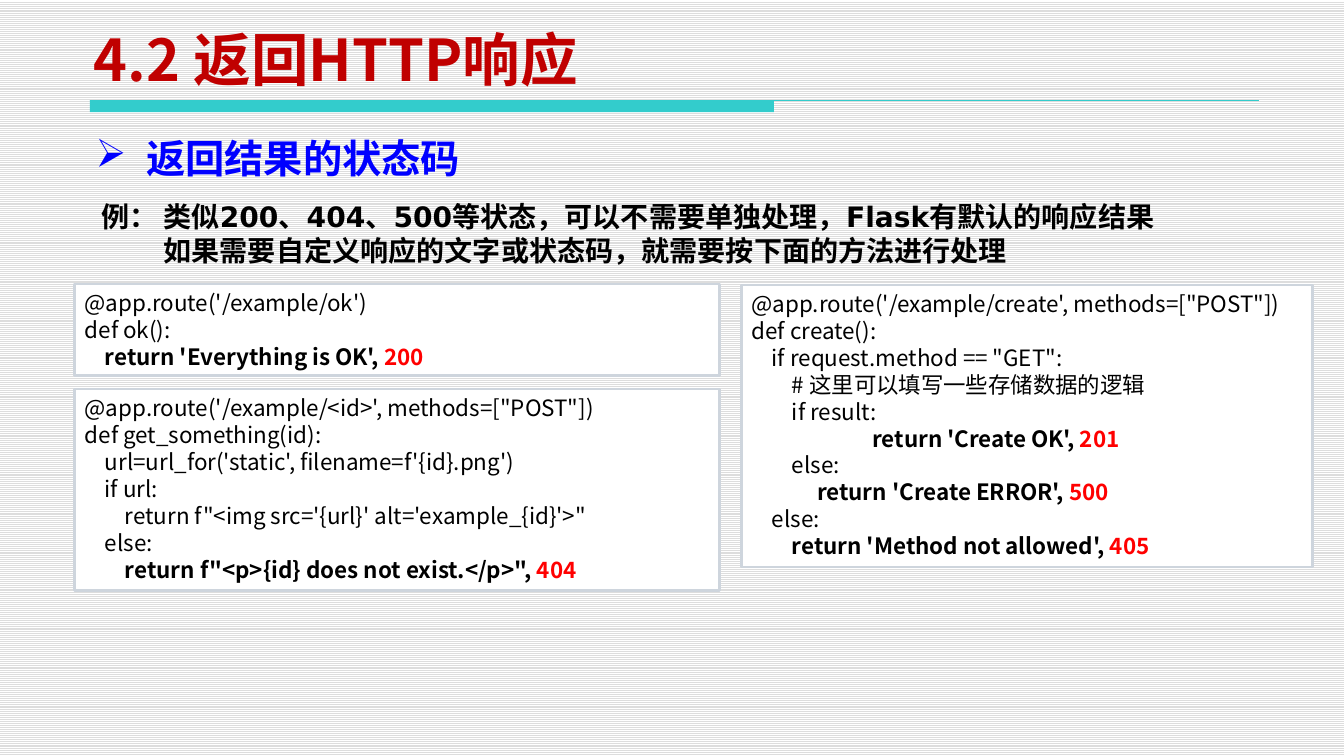
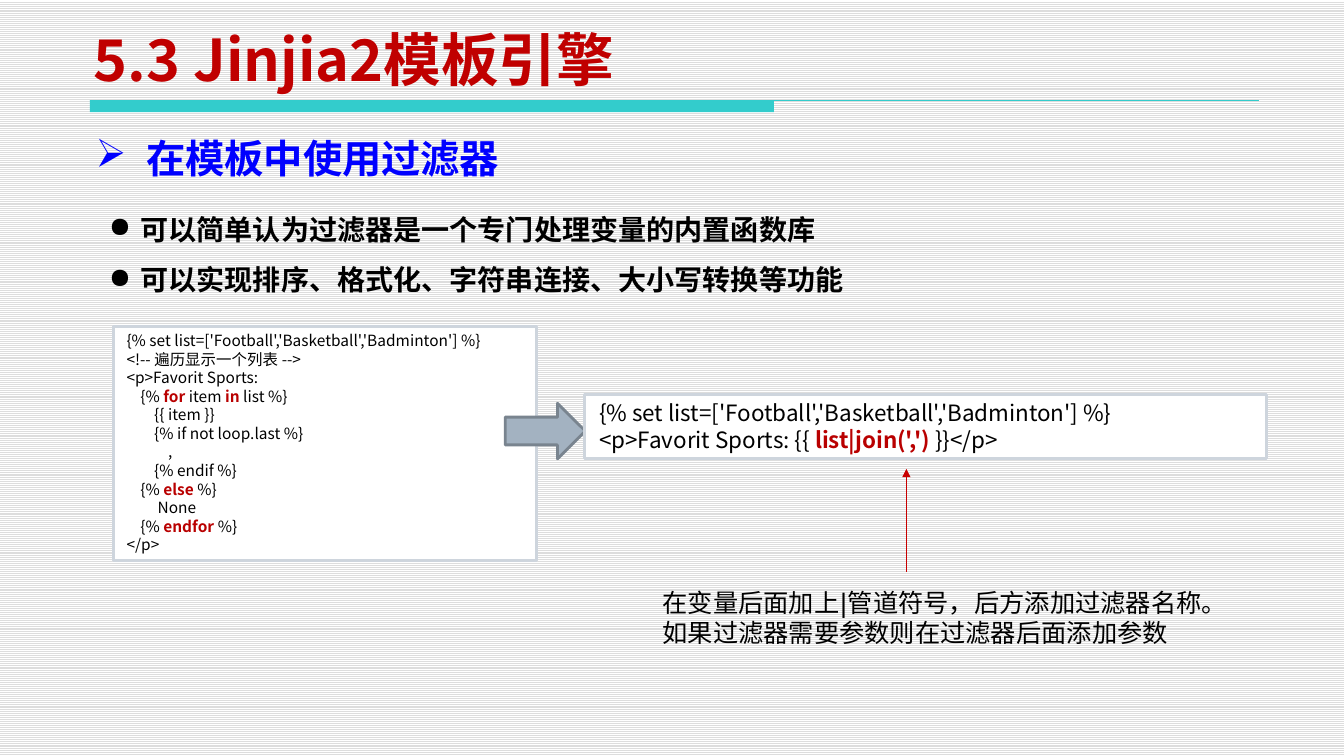
from pptx import Presentation
from pptx.dml.color import RGBColor
from pptx.enum.dml import MSO_PATTERN
from pptx.enum.shapes import MSO_CONNECTOR, MSO_SHAPE
from pptx.enum.text import MSO_ANCHOR, PP_ALIGN
from pptx.oxml.ns import qn
from pptx.util import Pt
from lxml import etree

RECT = MSO_SHAPE.RECTANGLE
ARROW = MSO_SHAPE.RIGHT_ARROW
STRAIGHT = MSO_CONNECTOR.STRAIGHT
STRIPES = MSO_PATTERN.LIGHT_HORIZONTAL
TOP, BOTTOM = MSO_ANCHOR.TOP, MSO_ANCHOR.BOTTOM
LEFT, JUSTIFY = PP_ALIGN.LEFT, PP_ALIGN.JUSTIFY

NOTO, DEJAVU = "Noto Sans CJK SC", "DejaVu Sans"
BLACK, WHITE, GREY = "000000", "FFFFFF", "DDDDDD"
TITLE, HEAD, BAND = "C00000", "0000FF", "33CCCC"
STATUS, WORD, POINTER = "FF0000", "B90000", "C80000"
FRAME, FILL, EDGE = "CED5DD", "A3B2C1", "79848F"
SPACE = 0.224


def tint(code):
    return RGBColor.from_string(code)


def child(parent, tag, **marks):
    node = etree.SubElement(parent, qn(tag))
    for key, value in marks.items():
        node.set(key, value)
    return node


def write(shape, rows, size=20, font=DEJAVU, color=BLACK, bold=False,
          align=LEFT, anchor=TOP, bullet=None, hang=0, spacing=None):
    frame = shape.text_frame
    frame.word_wrap = True
    frame.vertical_anchor = anchor
    for i, (indent, *runs) in enumerate(rows):
        para = frame.paragraphs[0] if i == 0 else frame.add_paragraph()
        para.alignment = align
        if spacing:
            para.line_spacing = spacing
        props = para._p.get_or_add_pPr()
        props.set("marL", str(Pt(hang + indent * SPACE * size)))
        props.set("indent", str(Pt(-hang)))
        if bullet:
            child(props, "a:buChar", char=bullet)
        for item in runs:
            words, shade = (item, None) if isinstance(item, str) else item
            run = para.add_run()
            run.text = words
            run.font.size = Pt(size)
            run.font.bold = bold or shade is not None
            run.font.color.rgb = tint(shade or color)
            run.font.name = font
            child(run._r.get_or_add_rPr(), "a:ea", typeface=NOTO)


def label(slide, box, *lines, **style):
    shape = slide.shapes.add_textbox(*map(Pt, box))
    write(shape, [(0, line) for line in lines], **style)


def block(slide, kind, box, fill, edge, width):
    shape = slide.shapes.add_shape(kind, *map(Pt, box))
    shape.shadow.inherit = False
    shape.fill.solid()
    shape.fill.fore_color.rgb = tint(fill)
    if edge:
        shape.line.color.rgb = tint(edge)
        shape.line.width = Pt(width)
    else:
        shape.line.fill.background()
    return shape


def code(slide, box, rows, size=16):
    shape = block(slide, RECT, box, WHITE, FRAME, 2)
    write(shape, rows, size=size, font=NOTO)


def rule(slide, ends, color, head=False):
    line = slide.shapes.add_connector(STRAIGHT, *map(Pt, ends))
    line.line.color.rgb = tint(color)
    line.line.width = Pt(0.75)
    if head:
        child(line.line._get_or_add_ln(), "a:tailEnd", type="triangle")
    child(line._element.spPr, "a:effectLst")


def page(deck, title, head):
    slide = deck.slides.add_slide(deck.slide_layouts[6])
    block(slide, RECT, (64, 71.3, 487.5, 8.6), BAND, None, 0)
    rule(slide, (64, 71.3, 897, 71.3), BAND)
    label(slide, (59.7, 20, 708, 50), title, size=41, font=NOTO,
          color=TITLE, bold=True, anchor=BOTTOM)
    label(slide, (61, 92, 612, 42), head, size=28, color=HEAD, bold=True,
          align=JUSTIFY, bullet="➢", hang=36)
    return slide


def status(deck):
    slide = page(deck, "4.2 返回HTTP响应", "返回结果的状态码")
    label(slide, (65.5, 138.5, 60, 32), "例：", bold=True)
    label(slide, (109.5, 138.5, 841, 55),
          "类似200、404、500等状态，可以不需要单独处理，Flask有默认的响应结果",
          "如果需要自定义响应的文字或状态码，就需要按下面的方法进行处理",
          bold=True)
    code(slide, (53.3, 202.3, 459.4, 65.5), [
        (0, "@app.route('/example/ok')"),
        (0, "def ok():"),
        (4, ("return 'Everything is OK', ", BLACK), ("200", STATUS)),
    ])
    code(slide, (528.5, 203, 406.8, 201), [
        (0, "@app.route('/example/create', methods=[\"POST\"])"),
        (0, "def create():"),
        (4, "if request.method == \"GET\":"),
        (8, "# 这里可以填写一些存储数据的逻辑"),
        (8, "if result:"),
        (24, ("return 'Create OK', ", BLACK), ("201", STATUS)),
        (8, "else:"),
        (13, ("return 'Create ERROR', ", BLACK), ("500", STATUS)),
        (4, "else:"),
        (8, ("return 'Method not allowed', ", BLACK), ("405", STATUS)),
    ])
    code(slide, (53.3, 277.2, 459.4, 143.3), [
        (0, "@app.route('/example/<id>', methods=[\"POST\"])"),
        (0, "def get_something(id):"),
        (4, "url=url_for('static', filename=f'{id}.png')"),
        (4, "if url:"),
        (8, "return f\"<img src='{url}' alt='example_{id}'>\""),
        (4, "else:"),
        (8, ("return f\"<p>{id} does not exist.</p>\", ", BLACK),
         ("404", STATUS)),
    ])


def filters(deck):
    slide = page(deck, "5.3 Jinjia2模板引擎", "在模板中使用过滤器")
    label(slide, (70.5, 135.5, 783, 112),
          "可以简单认为过滤器是一个专门处理变量的内置函数库",
          "可以实现排序、格式化、字符串连接、大小写转换等功能",
          bold=True, bullet="●", hang=22.5, spacing=1.5)
    sports = (1, "{% set list=['Football','Basketball','Badminton'] %}")
    code(slide, (80.6, 232.5, 301.7, 167), [
        sports,
        (1, "<!-- 遍历显示一个列表 -->"),
        (1, "<p>Favorit Sports:"),
        (5, "{% ", ("for", WORD), " item ", ("in", WORD), " list %}"),
        (9, "{{ item }}"),
        (9, "{% if not loop.last %}"),
        (13, ","),
        (9, "{% endif %}"),
        (5, "{% ", ("else", WORD), " %}"),
        (10, "None"),
        (5, "{% ", ("endfor", WORD), " %}"),
        (1, "</p>"),
    ], size=11)
    block(slide, ARROW, (360, 287.3, 57, 39.6), FILL, EDGE, 2)
    code(slide, (416.2, 280.8, 486, 46), [
        sports,
        (1, "<p>Favorit Sports: {{ ", ("list|join(',') ", WORD), "}}</p>"),
    ])
    rule(slide, (645.8, 407.5, 645.8, 334), POINTER, head=True)
    label(slide, (465, 414.7, 419, 51),
          "在变量后面加上|管道符号，后方添加过滤器名称。"
          "如果过滤器需要参数则在过滤器后面添加参数", size=18)


def main():
    deck = Presentation()
    deck.slide_width, deck.slide_height = Pt(957.6), Pt(538.6)
    back = deck.slide_master.background.fill
    back.patterned()
    back.pattern = STRIPES
    back.fore_color.rgb = tint(GREY)
    back.back_color.rgb = tint(WHITE)
    status(deck)
    filters(deck)
    deck.save("out.pptx")


if __name__ == "__main__":
    main()
